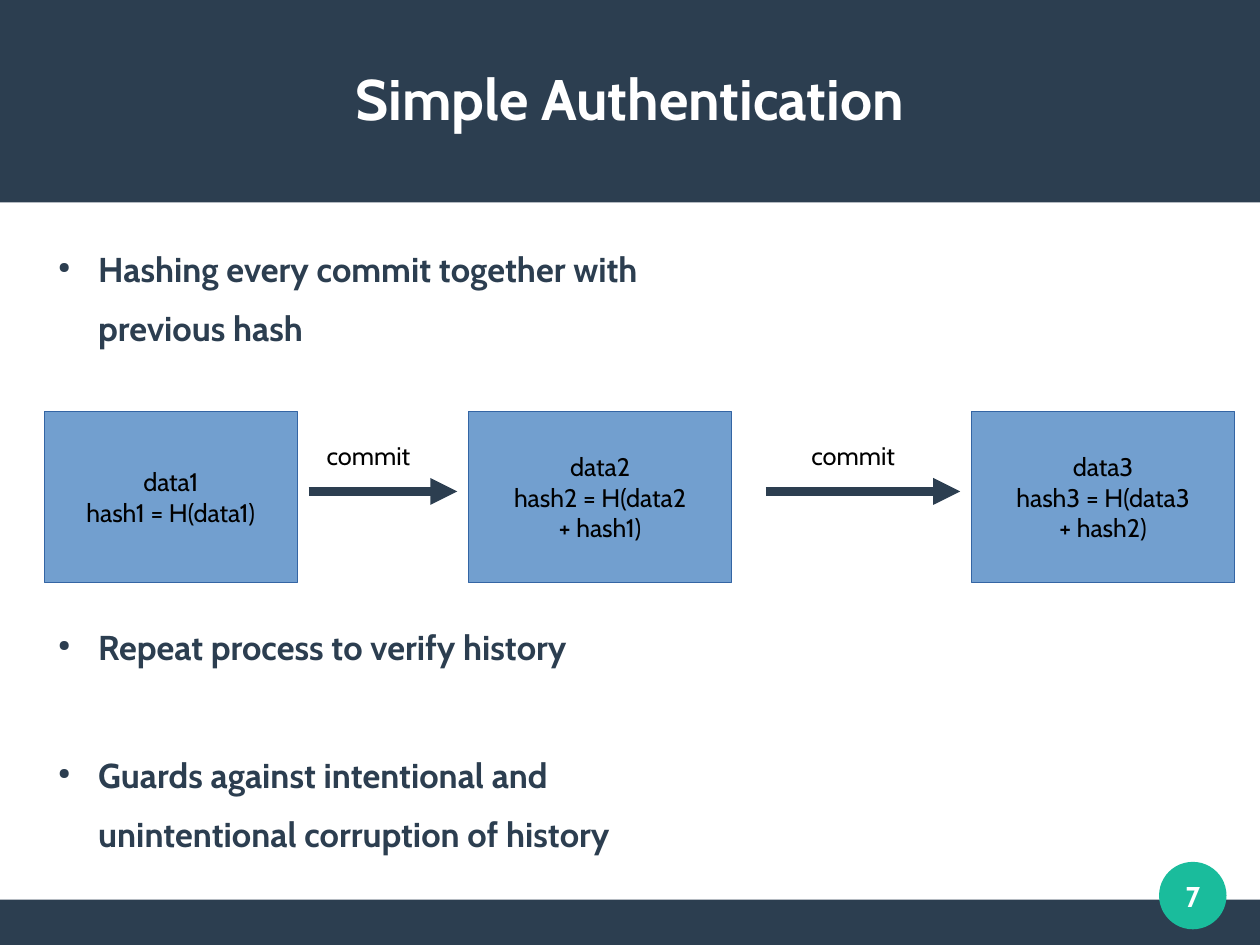
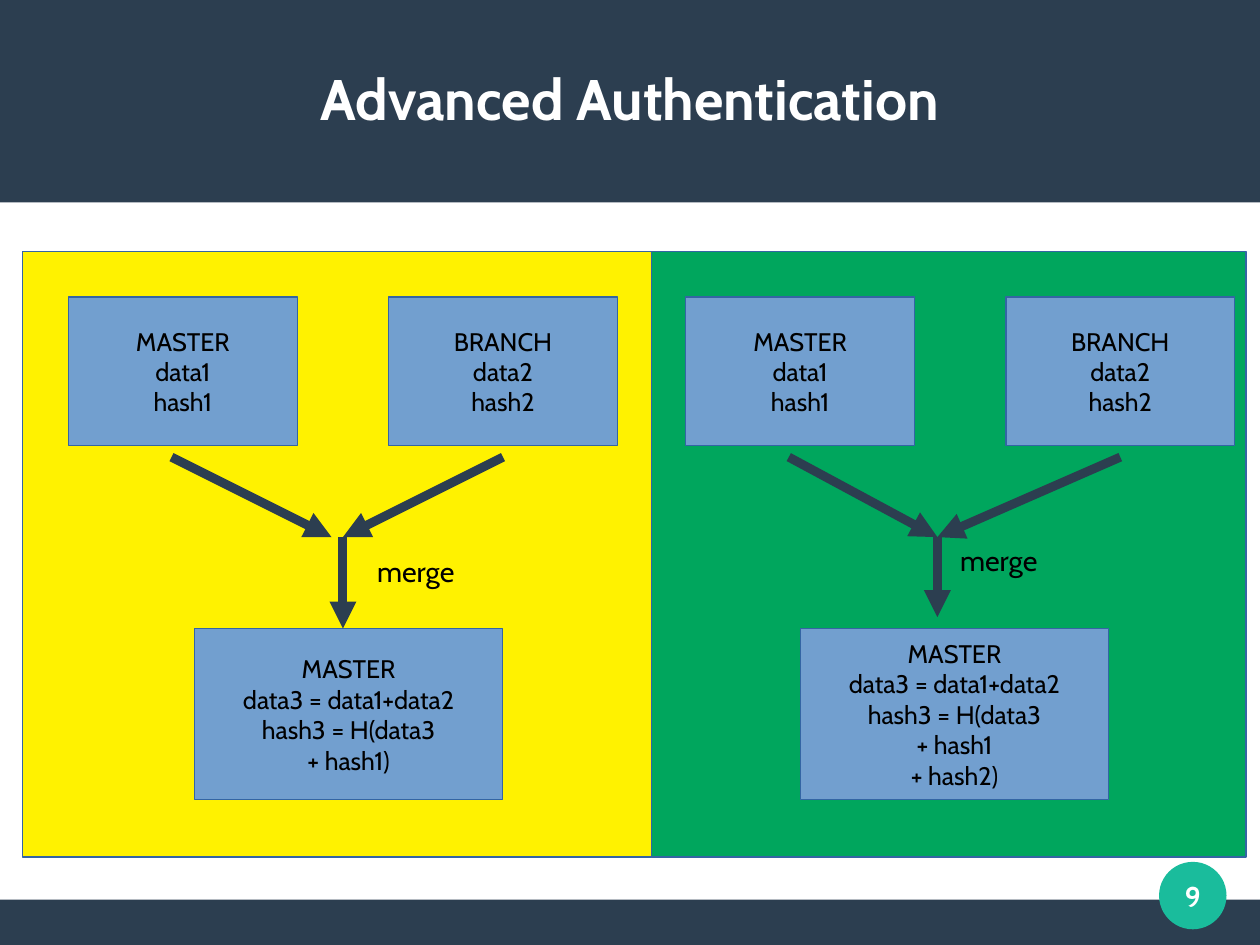
from lxml import etree
from pptx import Presentation
from pptx.dml.color import RGBColor
from pptx.enum.shapes import MSO_CONNECTOR, MSO_SHAPE
from pptx.enum.text import MSO_ANCHOR, MSO_AUTO_SIZE, PP_ALIGN
from pptx.oxml.ns import qn
from pptx.util import Pt

RECTANGLE, OVAL = MSO_SHAPE.RECTANGLE, MSO_SHAPE.OVAL
STRAIGHT = MSO_CONNECTOR.STRAIGHT
TOP, MIDDLE = MSO_ANCHOR.TOP, MSO_ANCHOR.MIDDLE
LEFT, CENTER = PP_ALIGN.LEFT, PP_ALIGN.CENTER
NO_FIT, GROW = MSO_AUTO_SIZE.NONE, MSO_AUTO_SIZE.SHAPE_TO_FIT_TEXT

COLORS = {
    "navy": "2C3E50", "teal": "1ABC9C", "white": "FFFFFF", "black": "000000",
    "blue": "729FCF", "outline": "3465A4", "yellow": "FFF200", "green": "00A65D",
}
WIDTH, HEIGHT = 793.6, 595.4
TITLE_ONLY = 5
NO_INSETS = dict.fromkeys(("margin_left", "margin_top", "margin_right", "margin_bottom"), 0)
FRAME_FLUSH = {**NO_INSETS, "word_wrap": True, "auto_size": NO_FIT}
FRAME_CENTERED = {**FRAME_FLUSH, "vertical_anchor": MIDDLE}
FRAME_NODE = {"word_wrap": False, "vertical_anchor": MIDDLE}
FRAME_LABEL = {"word_wrap": False, "vertical_anchor": TOP, "auto_size": GROW}


def color(name):
    """Return the palette colour of that name."""
    return RGBColor.from_string(COLORS[name])


def assign(target, values):
    """Set each attribute in a dict of format values."""
    for name, value in values.items():
        setattr(target, name, value)


def place(area):
    """Convert a sequence of point values to lengths."""
    return [Pt(value) for value in area]


def write(shape, lines, frame, size, ink, align=CENTER, bold=False):
    """Fill a shape with one paragraph per line and return the paragraphs."""
    text_frame = shape.text_frame
    text_frame.text = "\n".join(lines)
    assign(text_frame, frame)
    for para in text_frame.paragraphs:
        para.alignment = align
        for span in para.runs:
            assign(span.font, {"name": "Cabin", "size": Pt(size), "bold": bold})
            span.font.color.rgb = color(ink)
    return text_frame.paragraphs


def add_block(page, area, fill, kind=RECTANGLE, outline=None):
    """Add a flat filled shape, with a hairline if an outline is named."""
    block = page.shapes.add_shape(kind, *place(area))
    block.shadow.inherit = False
    block.fill.solid()
    block.fill.fore_color.rgb = color(fill)
    if outline:
        block.line.color.rgb = color(outline)
        block.line.width = Pt(0)
    else:
        block.line.fill.background()
    return block


def add_node(page, area, *lines):
    """Add an outlined blue box with centred lines."""
    node = add_block(page, area, "blue", outline="outline")
    write(node, lines, FRAME_NODE, 16, "black")


def add_label(page, area, text, size):
    """Add a short label beside an arrow."""
    box = page.shapes.add_textbox(*place(area))
    write(box, [text], FRAME_LABEL, size, "black", LEFT)


def add_arrow(page, start, end):
    """Add a thick line with a triangle at its end."""
    arrow = page.shapes.add_connector(STRAIGHT, *place((*start, *end)))
    arrow.line.color.rgb = color("navy")
    arrow.line.width = Pt(5.67)
    properties = arrow.element.spPr
    etree.SubElement(properties.find(qn("a:ln")), qn("a:tailEnd"), type="triangle")
    etree.SubElement(properties, qn("a:effectLst"))


def add_bullets(page, area, rows):
    """Add a list from rows of text, bullet flag and space after."""
    box = page.shapes.add_textbox(*place(area))
    paras = write(box, [row[0] for row in rows], FRAME_FLUSH, 21.7, "navy", LEFT, True)
    for para, (_, bulleted, space) in zip(paras, rows):
        para.space_after = Pt(space)
        properties = para._p.get_or_add_pPr()
        properties.set("marL", str(Pt(33.84)))
        properties.set("indent", str(Pt(-25.2 if bulleted else 0)))
        if bulleted:
            tint = etree.SubElement(properties, qn("a:buClr"))
            etree.SubElement(tint, qn("a:srgbClr"), val=COLORS["navy"])
            etree.SubElement(properties, qn("a:buSzPct"), val="45000")
            etree.SubElement(properties, qn("a:buChar"), char="●")


def add_frame(page):
    """Put the bands and the number disc on the layout of a page."""
    blocks = (
        add_block(page, (0, 566.8, WIDTH, 28.6), "navy"),
        add_block(page, (0, 0, WIDTH, 127.5), "navy"),
        add_block(page, (730, 543, 42.5, 42.5), "teal", OVAL),
    )
    for position, block in enumerate(blocks, 2):
        page.slide_layout.shapes.element.insert(position, block.element)


def add_page(deck, title, number):
    """Add a titled and numbered page."""
    page = deck.slides.add_slide(deck.slide_layouts[TITLE_ONLY])
    heading = page.shapes.title
    assign(heading, dict(zip(("left", "top", "width", "height"), place((28, 23.7, 737.5, 75.6)))))
    write(heading, [title], FRAME_CENTERED, 36, "white", bold=True)
    box = page.shapes.add_textbox(*place((723, 536, 56.7, 56.7)))
    write(box, [number], FRAME_CENTERED, 18, "white", bold=True)
    return page


def add_chain(page):
    """Draw the three commits in a row."""
    top, height = 259.2, 108
    add_node(page, (28, top, 159.2, height), "data1", "hash1 = H(data1)")
    add_node(page, (295.2, top, 165.6, height), "data2", "hash2 = H(data2", "+ hash1)")
    add_node(page, (612, top, 165.6, height), "data3", "hash3 = H(data3", "+ hash2)")
    for start, end, label in ((194.4, 288, 198.7), (482.4, 604.8, 504)):
        add_arrow(page, (start, 309.6), (end, 309.6))
        add_label(page, (label, 273.6, 74.9, 28.8), "commit", 16)


def add_merge(page, panel, fill, left, tips, end, result, label, hashes):
    """Draw one panel in which a master and a branch merge."""
    add_block(page, (panel[0], 158.4, panel[1], 381.6), fill, outline="outline")
    add_node(page, (left, 187.2, 144, 93.6), "MASTER", "data1", "hash1")
    add_node(page, (left + 201.6, 187.2, 144, 93.6), "BRANCH", "data2", "hash2")
    add_node(page, (result, 396, 194.4, 108), "MASTER", "data3 = data1+data2",
             "hash3 = H(data3", *hashes)
    joint = 338.4
    for offset, tip in zip((64.8, 273.6), tips):
        add_arrow(page, (left + offset, 288), (tip, joint))
    add_arrow(page, (tips[1], joint), (tips[1], end))
    add_label(page, (*label, 72, 31.7), "merge", 18)


def main():
    """Build the deck and save it."""
    deck = Presentation()
    assign(deck, {"slide_width": Pt(WIDTH), "slide_height": Pt(HEIGHT)})

    page = add_page(deck, "Simple Authentication", "7")
    add_frame(page)
    add_bullets(page, (28, 156.2, 737.5, 396.7), (
        ("Hashing every commit together with", True, 11.4),
        ("previous hash", False, 174.8),
        ("Repeat process to verify history", True, 54.4),
        ("Guards against intentional and", True, 11.4),
        ("unintentional corruption of history", False, 0),
    ))
    add_chain(page)

    page = add_page(deck, "Advanced Authentication", "9")
    add_merge(page, (410.4, 374.4), "green", 432, (590.4, 590.4), 388.8, 504,
              (597.6, 338.4), ("+ hash1", "+ hash2)"))
    add_merge(page, (14.4, 396), "yellow", 43.2, (208.8, 216), 396, 122.4,
              (230.4, 345.6), ("+ hash1)",))

    deck.save("out.pptx")


if __name__ == "__main__":
    main()
